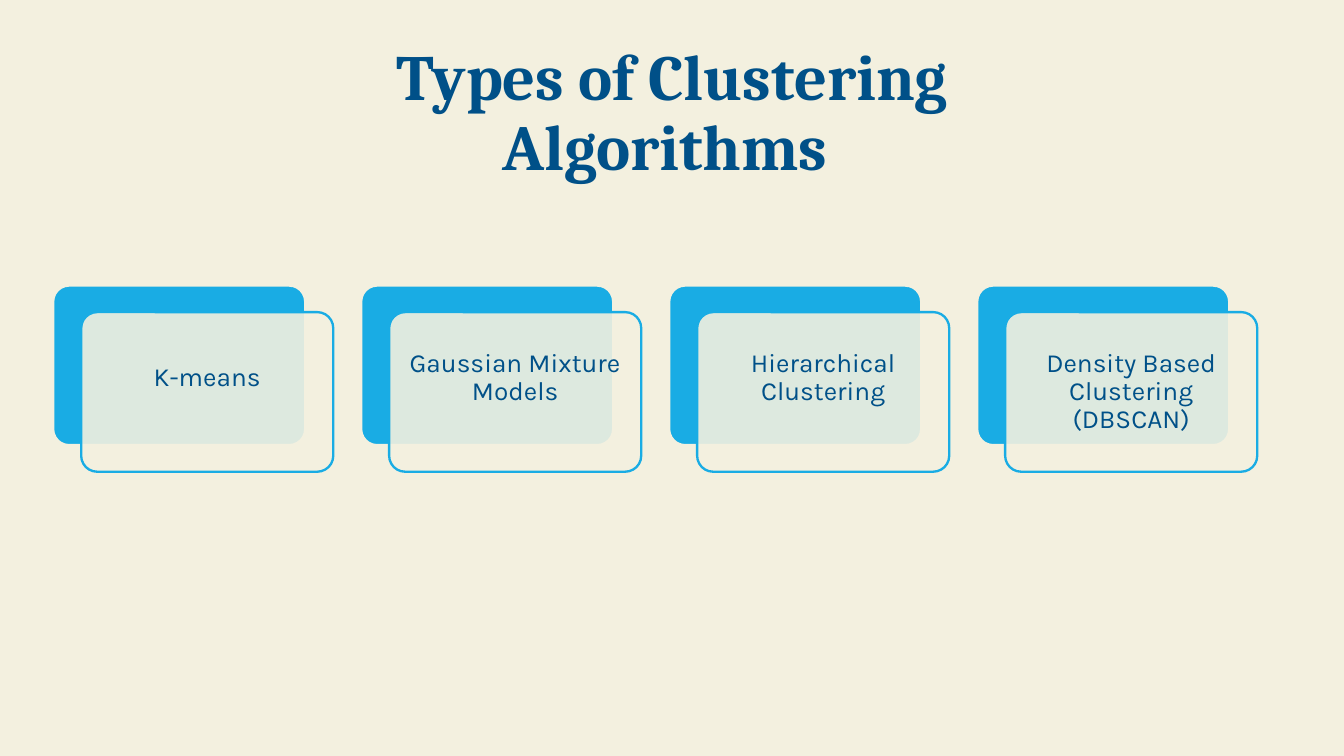
from dataclasses import dataclass

from pptx import Presentation
from pptx.dml.color import RGBColor
from pptx.enum.shapes import MSO_SHAPE as Shape
from pptx.enum.text import MSO_ANCHOR as Anchor, MSO_AUTO_SIZE as AutoSize, PP_ALIGN as Align
from pptx.oxml.ns import qn
from pptx.util import Emu, Pt
from lxml.etree import SubElement

EMU_PER_PX = 9525
CREAM, BLUE, NAVY = "F3F0DF", "19ACE4", "005088"

CARD_LEFT, CARD_TOP, CARD_WIDTH, CARD_HEIGHT = 38, 204, 180, 114
CARD_PITCH = 220
FRONT_OFFSET = 20
LINE_HEIGHT = 20


@dataclass
class Card:
    label: str
    raised: bool = True  # label sits half a line above the middle


CARDS = [
    Card("K-means"),
    Card("Gaussian Mixture Models"),
    Card("Hierarchical Clustering"),
    Card("Density Based Clustering (DBSCAN)", raised=False),
]


def px(length: int) -> Emu:
    return Emu(length * EMU_PER_PX)


def color(hex_code: str) -> RGBColor:
    return RGBColor.from_string(hex_code)


def write(shape, text: str, font_name: str, size: float, bold: bool,
          inset_x: int, inset_top: int, inset_bottom: int) -> None:
    frame = shape.text_frame
    frame.word_wrap = True
    frame.auto_size = AutoSize.NONE
    frame.vertical_anchor = Anchor.MIDDLE
    frame.margin_left = frame.margin_right = px(inset_x)
    frame.margin_top, frame.margin_bottom = px(inset_top), px(inset_bottom)
    frame.text = text
    para = frame.paragraphs[0]
    para.alignment = Align.CENTER
    para.line_spacing = 0.9
    para.space_before = Pt(0)
    font = para.font
    font.name, font.size, font.bold = font_name, Pt(size), bold
    font.color.rgb = color(NAVY)


def add_panel(slide, left: int, top: int, fill: str, line: str):
    panel = slide.shapes.add_shape(
        Shape.ROUNDED_RECTANGLE, px(left), px(top), px(CARD_WIDTH), px(CARD_HEIGHT))
    panel.adjustments[0] = 0.1
    panel.shadow.inherit = False
    panel.fill.solid()
    panel.fill.fore_color.rgb = color(fill)
    panel.line.color.rgb = color(line)
    panel.line.width = Pt(1.25)
    return panel


def set_opacity(shape, percent: int) -> None:
    fill_color = shape.fill._xPr.find(qn("a:solidFill"))[0]
    SubElement(fill_color, qn("a:alpha")).set("val", str(percent * 1000))


def add_card(slide, card: Card, left: int) -> None:
    add_panel(slide, left, CARD_TOP, BLUE, CREAM)
    front = add_panel(slide, left + FRONT_OFFSET, CARD_TOP + FRONT_OFFSET - 1, CREAM, BLUE)
    set_opacity(front, 90)
    inset_bottom = 8 + (LINE_HEIGHT if card.raised else 0)
    write(front, card.label, "Karla", 14, False, 8, 8, inset_bottom)


def main() -> None:
    deck = Presentation()
    deck.slide_width, deck.slide_height = px(960), px(540)
    slide = deck.slides.add_slide(deck.slide_layouts[5])
    slide.background.fill.solid()
    slide.background.fill.fore_color.rgb = color(CREAM)

    # Title
    title = slide.shapes.title
    title.left, title.top, title.width, title.height = px(203), px(20), px(554), px(124)
    write(title, "Types of Clustering Algorithms ", "Cambria", 34.5, True, 7, 4, 4)

    # Row of algorithm cards
    for index, card in enumerate(CARDS):
        add_card(slide, card, CARD_LEFT + index * CARD_PITCH)

    deck.save("out.pptx")


if __name__ == "__main__":
    main()
